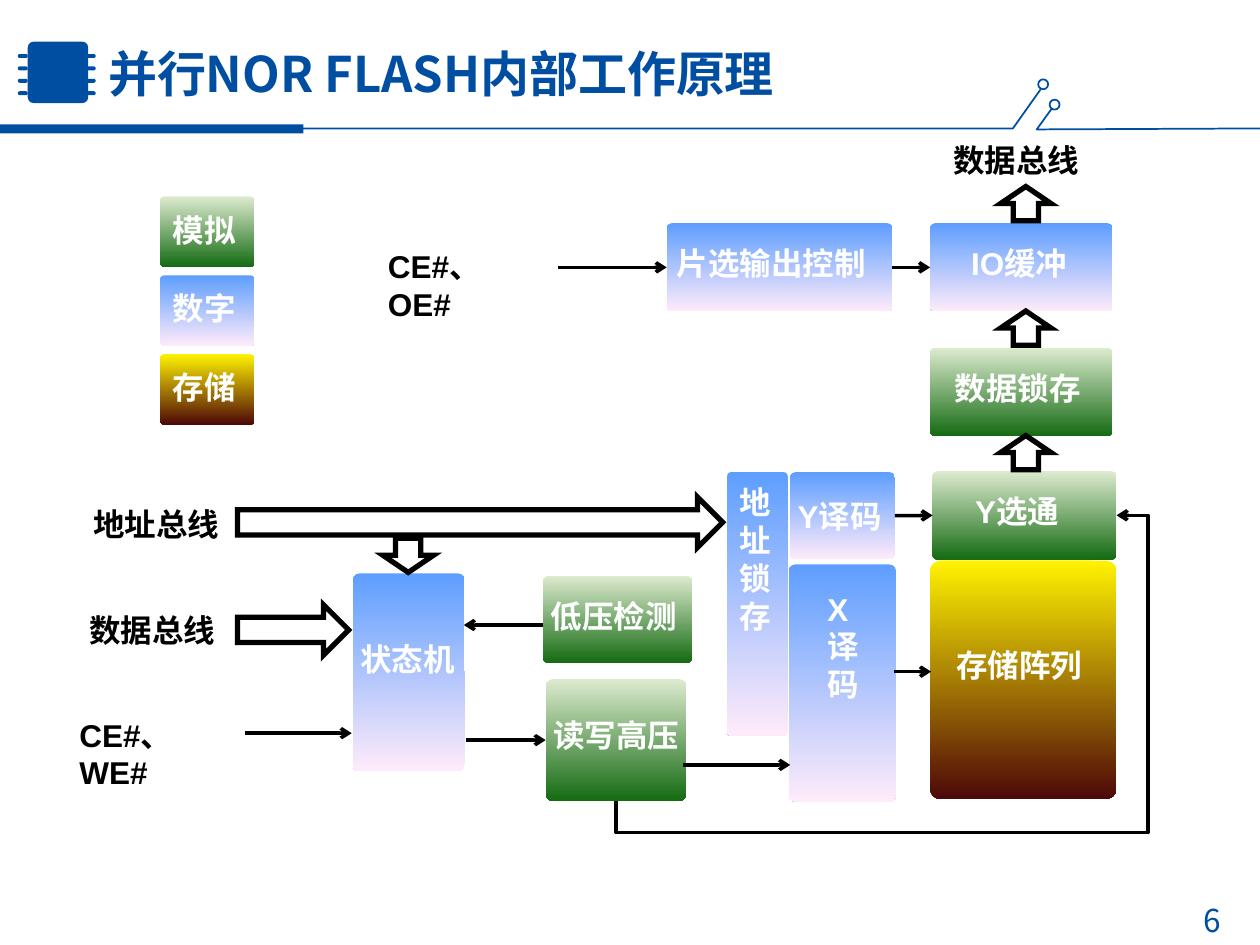
from typing import NamedTuple

from lxml import etree
from pptx import Presentation
from pptx.dml import color
from pptx.enum import shapes, text
from pptx.oxml import ns
from pptx.util import Cm, Pt

BLUE = color.RGBColor(0x00, 0x4E, 0xA2)
BLACK = color.RGBColor(0x00, 0x00, 0x00)
WHITE = color.RGBColor(0xFF, 0xFF, 0xFF)
MIST = color.RGBColor(0xFC, 0xFD, 0xFE)
ANALOG = (color.RGBColor(0xDD, 0xEB, 0xCF), color.RGBColor(0x15, 0x6B, 0x13))
DIGITAL = (color.RGBColor(0x5E, 0x9E, 0xFF), color.RGBColor(0xFF, 0xEB, 0xFA))
STORAGE = (color.RGBColor(0xFF, 0xF2, 0x00), color.RGBColor(0x4D, 0x08, 0x08))
CJK_FONT = "Noto Sans CJK SC"
PRESET = shapes.MSO_SHAPE
LABEL_HEIGHT = 1.02


class Box(NamedTuple):
    left: float
    top: float
    width: float
    height: float

    def inner(self, left, top, width, height):
        return Box(self.left + left, self.top + top, width, height)

    def point(self, x, y):
        return self.left + x, self.top + y

    def lengths(self):
        return [Cm(value) for value in self]


def add_xml(parent, tag, **attributes):
    return etree.SubElement(parent, ns.qn(tag), attributes)


def add_text(parent, box, content, size=18, font="Arial", colour=BLACK, bold=True,
             align=text.PP_ALIGN.LEFT, anchor=text.MSO_ANCHOR.TOP):
    frame = parent.shapes.add_textbox(*box.lengths()).text_frame
    frame.word_wrap = True
    frame.vertical_anchor = anchor
    frame.text = content
    for paragraph in frame.paragraphs:
        paragraph.alignment = align
        for run in paragraph.runs:
            run.font.name = font
            run.font.size = Pt(size)
            run.font.bold = bold
            run.font.color.rgb = colour
            add_xml(run.font._element, "a:ea", typeface=CJK_FONT)


def add_preset(parent, preset, box, fill=None, line=None, width=1):
    shape = parent.shapes.add_shape(preset, *box.lengths())
    paint(shape, fill, line, width)
    return shape


def paint(shape, fill, line, width):
    shape.shadow.inherit = False
    if fill is None:
        shape.fill.background()
    elif isinstance(fill, color.RGBColor):
        shape.fill.solid()
        shape.fill.fore_color.rgb = fill
    else:
        shape.fill.gradient()
        shape.fill.gradient_angle = 270
        for stop, colour in zip(shape.fill.gradient_stops, fill):
            stop.color.rgb = colour
    if line is None:
        shape.line.fill.background()
    else:
        shape.line.color.rgb = line
        shape.line.width = Pt(width)


def add_block(slide, box, colours, label, label_left, label_top, label_width,
              label_height=LABEL_HEIGHT):
    group = slide.shapes.add_group_shape()
    shape = add_preset(group, PRESET.ROUNDED_RECTANGLE, box, colours)
    shape.adjustments[0] = 0.06
    label_box = box.inner(label_left, label_top, label_width, label_height)
    add_text(group, label_box, label, colour=WHITE)
    return shape


def add_bus_arrow(slide, preset, box):
    shape = add_preset(slide, preset, box, line=BLACK, width=3)
    add_xml(shape.line._get_or_add_ln(), "a:miter", lim="800000")


def add_signal(slide, start=(0, 0), end=(0, 0), source=None, target=None,
               source_side=3, target_side=1, kind=shapes.MSO_CONNECTOR.STRAIGHT):
    lengths = [Cm(value) for value in (*start, *end)]
    connector = slide.shapes.add_connector(kind, *lengths)
    if source is not None:
        connector.begin_connect(source, source_side)
    if target is not None:
        connector.end_connect(target, target_side)
    connector.line.color.rgb = BLACK
    connector.line.width = Pt(2)
    add_xml(connector.line._get_or_add_ln(), "a:tailEnd", type="arrow")
    add_xml(connector._element.spPr, "a:effectLst")
    return connector


def add_feedback(slide, source, target):
    connector = add_signal(slide, source=source, target=target, source_side=2,
                           target_side=3, kind=shapes.MSO_CONNECTOR.ELBOW)
    across, down = connector.width, connector.height
    connector.left += (across - down) // 2
    connector.top += (down - across) // 2
    connector.width, connector.height = down, across
    properties = connector._element.spPr
    transform = properties.find(ns.qn("a:xfrm"))
    for name, value in (("rot", "5400000"), ("flipH", "1"), ("flipV", "1")):
        transform.set(name, value)
    geometry = properties.find(ns.qn("a:prstGeom"))
    geometry.set("prst", "bentConnector4")
    guides = geometry.find(ns.qn("a:avLst"))
    for name, value in (("adj1", -11000), ("adj2", 106300)):
        add_xml(guides, "a:gd", name=name, fmla=f"val {value}")


def draw_chip(slide, box):
    body = add_preset(slide, PRESET.ROUNDED_RECTANGLE, box.inner(0.2, 0, 1.22, 1.24), BLUE)
    body.adjustments[0] = 0.1
    for left in (0, 1.37):
        for row in range(4):
            pin_box = box.inner(left, 0.25 + 0.25 * row, 0.2, 0.08)
            pin = add_preset(slide, PRESET.ROUNDED_RECTANGLE, pin_box, BLUE)
            pin.adjustments[0] = 0.5


def draw_header(slide, box):
    add_preset(slide, PRESET.RECTANGLE, box.inner(0, 2.51, 6.12, 0.18), BLUE)
    traces = (
        ((20.98, 1.8), (20.42, 2.59), (3.2, 2.59)),
        ((21.21, 2.18), (20.9, 2.61), (25.4, 2.59)),
    )
    for trace in traces:
        first, *others = [tuple(Cm(value) for value in box.point(*point)) for point in trace]
        builder = slide.shapes.build_freeform(*first)
        builder.add_line_segments(others, close=False)
        paint(builder.convert_to_shape(), None, BLUE, 1)
    for left, top in ((20.93, 1.6), (21.16, 2.01)):
        add_preset(slide, PRESET.OVAL, box.inner(left, top, 0.2, 0.2), line=BLUE)
    add_text(slide, box.inner(1.93, 0.41, 20.5, 2.13), "并行NOR FLASH内部工作原理",
             size=28, font=CJK_FONT, colour=BLUE, anchor=text.MSO_ANCHOR.MIDDLE)
    draw_chip(slide, box.inner(0.36, 0.84, 1.57, 1.24))


def draw_legend(slide, box):
    entries = (("模拟", ANALOG), ("数字", DIGITAL), ("存储", STORAGE))
    for row, (label, colours) in enumerate(entries):
        add_block(slide, box.inner(0, 1.59 * row, 1.9, 1.42), colours, label, 0, 0.16, 2.13)


def draw_output_path(slide, box):
    add_text(slide, box.inner(0.22, 0.02, 3.15, LABEL_HEIGHT), "数据总线")
    buffer = add_block(slide, box.inner(0, 1.8, 3.68, 1.78), DIGITAL, "IO缓冲", 0.58, 0.3, 3.28)
    add_block(slide, box.inner(0, 4.31, 3.68, 1.78), ANALOG, "数据锁存", 0.25, 0.3, 3.28)
    gate = add_block(slide, box.inner(0.05, 6.8, 3.71, 1.78), ANALOG, "Y选通", 0.61, 0.3, 2.95)
    add_block(slide, box.inner(0, 8.6, 3.76, 4.81), STORAGE, "存储阵列", 0.28, 1.6, 3.4)
    for row in range(3):
        add_bus_arrow(slide, PRESET.UP_ARROW, box.inner(1.42, 1.06 + 2.51 * row, 1.02, 0.69))
    return buffer, gate


def draw_chip_select(slide, box, buffer):
    add_text(slide, box.inner(0, 0.35, 3.6, 1.78), "CE#、OE#")
    control = add_block(slide, box.inner(5.87, 0, 4.55, 1.78), DIGITAL, "片选输出控制",
                        -0.05, 0.3, 4.52)
    add_signal(slide, start=box.point(3.68, 0.89), target=control)
    add_signal(slide, source=control, target=buffer)


def draw_decoders(slide, box, gate):
    add_block(slide, box.inner(0, 0, 1.22, 5.31), DIGITAL, "地址锁存", 0, 0.1, 1.07, 3.3)
    add_block(slide, box.inner(1.24, 1.86, 2.16, 4.78), DIGITAL, "X\n译\n码",
              0.53, 0.38, 1.04, 2.54)
    column = add_block(slide, box.inner(1.27, 0, 2.11, 1.75), DIGITAL, "Y译码",
                       -0.1, 0.38, 2.36)
    add_signal(slide, source=column, target=gate)
    add_signal(slide, box.point(3.37, 4.02), box.point(4.11, 4.02))


def draw_control(slide, box, gate):
    add_text(slide, box.inner(0.28, 0.16, 3.15, LABEL_HEIGHT), "地址总线")
    add_text(slide, box.inner(0.2, 2.29, 3.15, LABEL_HEIGHT), "数据总线")
    add_text(slide, box.inner(0, 4.4, 3.6, 1.78), "CE#、WE#")
    add_block(slide, box.inner(5.76, 1.66, 2.26, 3.99), DIGITAL, "状态机", -0.1, 1.22, 2.54)
    add_block(slide, box.inner(9.6, 1.71, 3, 1.75), ANALOG, "低压检测", -0.1, 0.3, 3.25)
    pump = add_block(slide, box.inner(9.65, 3.79, 2.84, 2.46), ANALOG, "读写高压",
                     -0.1, 0.61, 3.2)
    add_bus_arrow(slide, PRESET.RIGHT_ARROW, box.inner(3.44, 0.12, 9.78, 1.02))
    add_bus_arrow(slide, PRESET.RIGHT_ARROW, box.inner(3.44, 2.29, 2.24, 1.02))
    add_bus_arrow(slide, PRESET.DOWN_ARROW, box.inner(6.37, 0.95, 1.02, 0.69))
    add_signal(slide, box.point(3.58, 4.88), box.point(5.74, 4.88))
    add_signal(slide, box.point(9.6, 2.7), box.point(8, 2.7))
    add_signal(slide, box.point(12.42, 5.52), box.point(14.58, 5.52))
    add_signal(slide, start=box.point(8.05, 5.02), target=pump)
    add_feedback(slide, pump, gate)


def main():
    presentation = Presentation()
    presentation.slide_width, presentation.slide_height = Cm(25.4), Cm(19.05)
    slide = presentation.slides.add_slide(presentation.slide_layouts[6])
    add_preset(slide, PRESET.RECTANGLE, Box(0, 11.25, 25.4, 7.8), (WHITE, MIST))
    draw_header(slide, Box(0, 0, 25.4, 2.7))
    draw_legend(slide, Box(3.23, 3.96, 1.9, 4.6))
    buffer, gate = draw_output_path(slide, Box(18.75, 2.7, 3.76, 13.41))
    draw_chip_select(slide, Box(7.57, 4.5, 10.42, 2.13), buffer)
    draw_decoders(slide, Box(14.66, 9.52, 3.4, 6.64), gate)
    draw_control(slide, Box(1.35, 9.9, 14.58, 6.25), gate)
    add_text(slide, Box(22.23, 18.03, 2.64, 1.02), "6", font=CJK_FONT, colour=BLUE,
             bold=False, align=text.PP_ALIGN.RIGHT)
    presentation.save("out.pptx")


if __name__ == "__main__":
    main()
